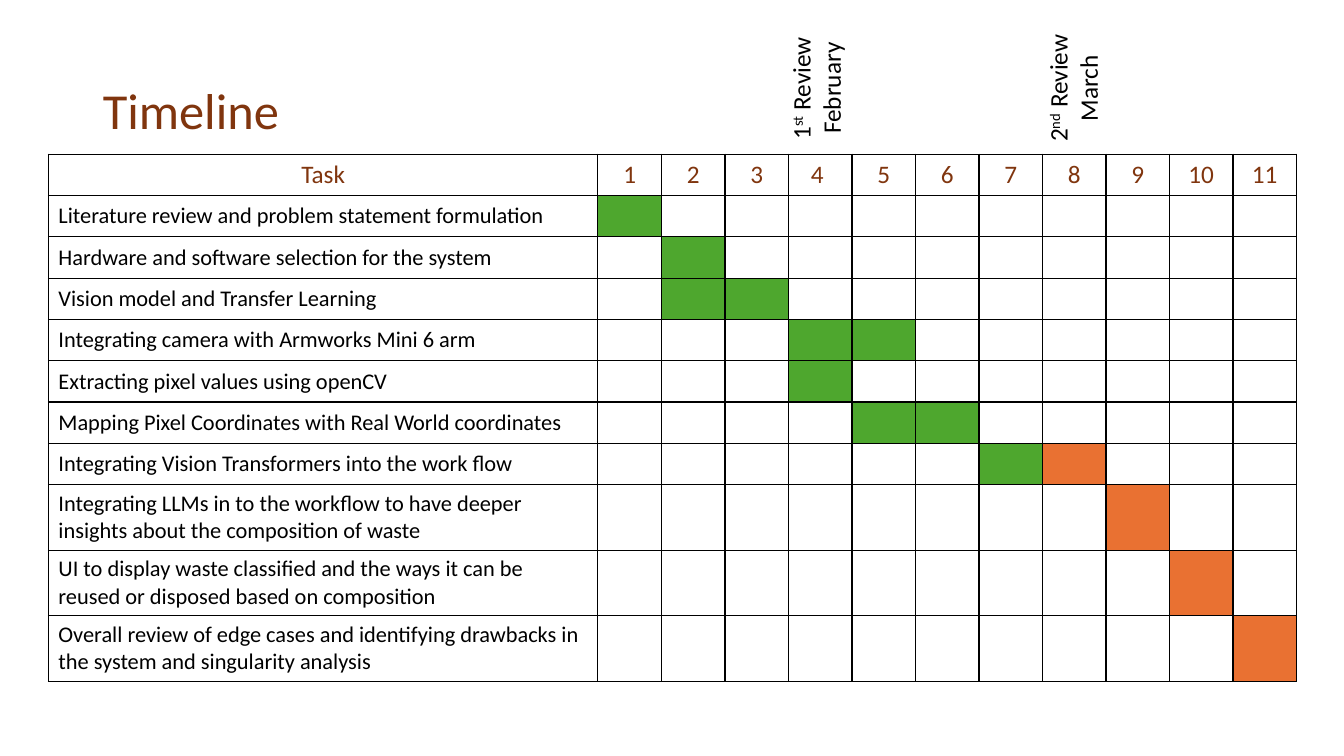
from lxml.etree import SubElement
from pptx import Presentation
from pptx.dml.color import RGBColor
from pptx.enum.text import MSO_ANCHOR, MSO_AUTO_SIZE, PP_ALIGN
from pptx.oxml.ns import qn
from pptx.util import Inches, Pt

BROWN = RGBColor(0x80, 0x35, 0x0E)
BLACK = RGBColor(0x00, 0x00, 0x00)
WHITE = RGBColor(0xFF, 0xFF, 0xFF)
GREEN = RGBColor(0x4E, 0xA7, 0x2E)
ORANGE = RGBColor(0xE9, 0x71, 0x32)

TABLE_LEFT, TABLE_TOP = 0.48, 1.53
TASK_WIDTH, PERIOD_WIDTH = 5.45, 0.63
SINGLE_ROW, DOUBLE_ROW = 0.41, 0.65

HEADINGS = ["Task", "1", "2", "3", "4 ", "5", "6", "7", "8", "9", "10", "11"]
# Task, row height, periods done, periods planned
TASKS = [
    ("Literature review and problem statement formulation", SINGLE_ROW, [1], []),
    ("Hardware and software selection for the system", SINGLE_ROW, [2], []),
    ("Vision model and Transfer Learning", SINGLE_ROW, [2, 3], []),
    ("Integrating camera with Armworks Mini 6 arm", SINGLE_ROW, [4, 5], []),
    ("Extracting pixel values using openCV", SINGLE_ROW, [4], []),
    ("Mapping Pixel Coordinates with Real World coordinates", SINGLE_ROW, [5, 6], []),
    ("Integrating Vision Transformers into the work flow", SINGLE_ROW, [7], [8]),
    ("Integrating LLMs in to the workflow to have deeper insights "
     "about the composition of waste", DOUBLE_ROW, [], [9]),
    ("UI to display waste classified and the ways it can be reused "
     "or disposed based on composition", DOUBLE_ROW, [], [10]),
    ("Overall review of edge cases and identifying drawbacks in the system "
     "and singularity analysis", DOUBLE_ROW, [], [11]),
]
# Left edge, ordinal, suffix, month
REVIEWS = [(7.33, "1", "st", "February"), (9.88, "2", "nd", "March")]


def add_text(paragraph, text, size, color):
    run = paragraph.add_run()
    run.text = text
    font_format = {"name": "Calibri", "size": Pt(size), "bold": False}
    for attribute, value in font_format.items():
        setattr(run.font, attribute, value)
    run.font.color.rgb = color
    return run


def format_cell(cell, fill):
    cell.vertical_anchor = MSO_ANCHOR.MIDDLE
    properties = cell._tc.get_or_add_tcPr()
    for side in ("a:lnL", "a:lnR", "a:lnT", "a:lnB"):
        line = SubElement(properties, qn(side), w=str(Pt(1)))
        solid = SubElement(line, qn("a:solidFill"))
        SubElement(solid, qn("a:srgbClr"), val=str(BLACK))
    cell.fill.solid()
    cell.fill.fore_color.rgb = fill


presentation = Presentation()
presentation.slide_width = Inches(13.33)
presentation.slide_height = Inches(7.5)
slide = presentation.slides.add_slide(presentation.slide_layouts[5])

# Title
title = slide.shapes.title
title_place = {"left": 0.92, "top": 0.4, "width": 11.5, "height": 1.45}
for attribute, value in title_place.items():
    setattr(title, attribute, Inches(value))
title.text_frame.vertical_anchor = MSO_ANCHOR.MIDDLE
paragraph = title.text_frame.paragraphs[0]
paragraph.alignment = PP_ALIGN.LEFT
paragraph.line_spacing = 0.9
add_text(paragraph, "Timeline", 36, BROWN)

# Schedule grid
row_heights = [SINGLE_ROW] + [height for _, height, _, _ in TASKS]
column_widths = [TASK_WIDTH] + [PERIOD_WIDTH] * (len(HEADINGS) - 1)
table = slide.shapes.add_table(
    len(row_heights), len(column_widths), Inches(TABLE_LEFT), Inches(TABLE_TOP),
    Inches(sum(column_widths)), Inches(sum(row_heights))).table
table.first_row = table.horz_banding = False
for column, width in zip(table.columns, column_widths):
    column.width = Inches(width)
for row, height in zip(table.rows, row_heights):
    row.height = Inches(height)

# Heading row
for cell, heading in zip(table.rows[0].cells, HEADINGS):
    format_cell(cell, WHITE)
    paragraph = cell.text_frame.paragraphs[0]
    paragraph.alignment = PP_ALIGN.CENTER
    add_text(paragraph, heading, 18, BROWN)

# Task rows with their coloured periods
for row_index, (task, _, done, planned) in enumerate(TASKS, start=1):
    for period, cell in enumerate(table.rows[row_index].cells):
        fill = GREEN if period in done else ORANGE if period in planned else WHITE
        format_cell(cell, fill)
        if period == 0:
            add_text(cell.text_frame.paragraphs[0], task, 16, BLACK)
        else:
            cell.text_frame.paragraphs[0].font.size = Pt(16)

# Review labels, turned to read upwards
for left, ordinal, suffix, month in REVIEWS:
    label = slide.shapes.add_textbox(
        Inches(left), Inches(0.52), Inches(1.53), Inches(0.71))
    label.rotation = 270
    frame = label.text_frame
    frame.word_wrap = True
    frame.auto_size = MSO_AUTO_SIZE.SHAPE_TO_FIT_TEXT
    review_line, month_line = frame.paragraphs[0], frame.add_paragraph()
    add_text(review_line, ordinal, 18, BLACK)
    raised = add_text(review_line, suffix, 18, BLACK)
    raised.font._element.set("baseline", "30000")
    add_text(review_line, " Review", 18, BLACK)
    add_text(month_line, month, 18, BLACK)
    for paragraph in frame.paragraphs:
        paragraph.alignment = PP_ALIGN.CENTER

presentation.save("out.pptx")
